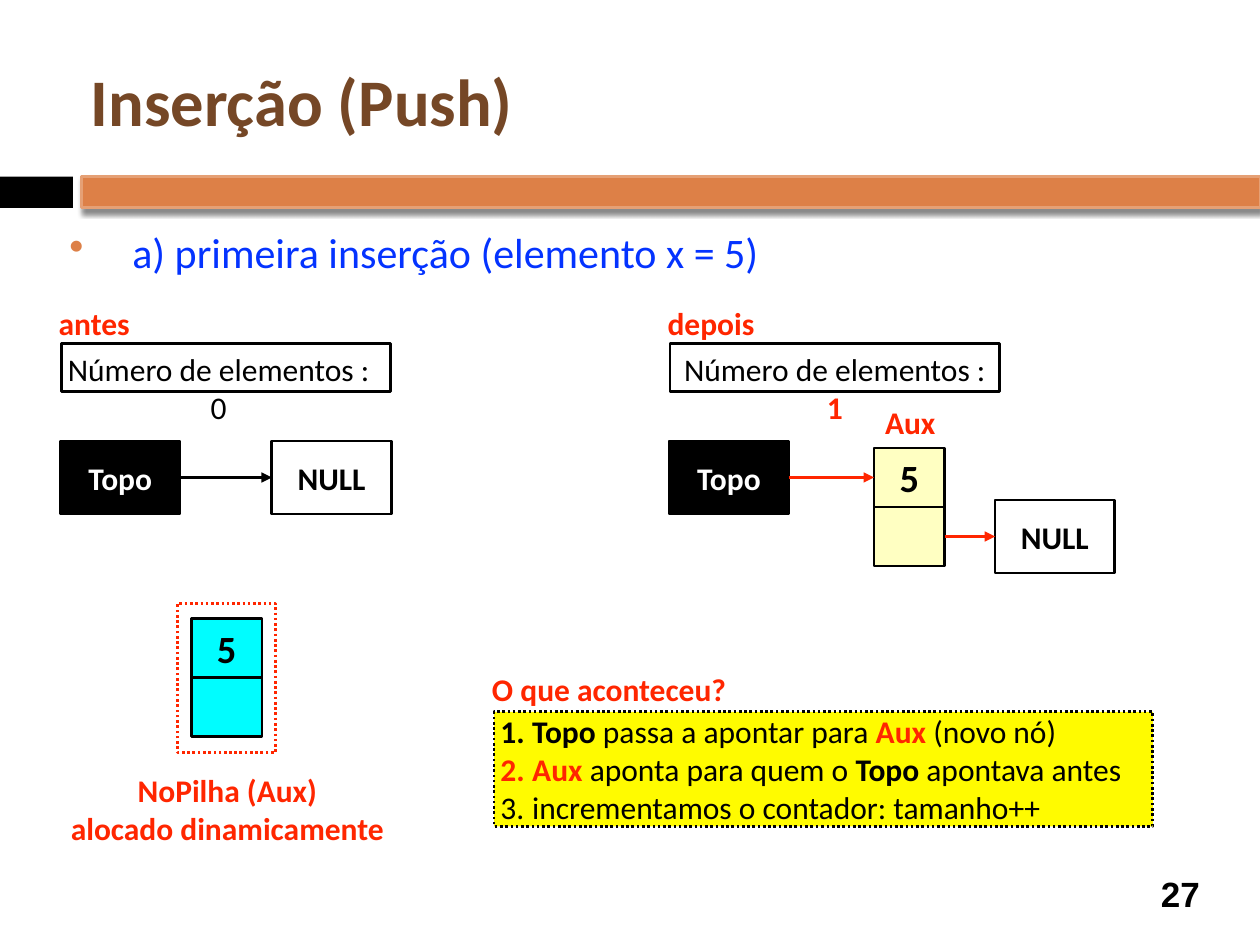
from dataclasses import dataclass

from lxml.etree import SubElement
from pptx import Presentation
from pptx.dml.color import RGBColor
from pptx.enum.dml import MSO_LINE_DASH_STYLE as Dash
from pptx.enum.shapes import MSO_CONNECTOR as Connector, MSO_SHAPE as Shape
from pptx.enum.text import MSO_ANCHOR as Anchor, PP_ALIGN as Align
from pptx.oxml.ns import qn
from pptx.util import Cm, Pt


@dataclass(frozen=True)
class Theme:
    black: str = "000000"
    white: str = "FFFFFF"
    red: str = "FF2600"
    blue: str = "0433FF"
    brown: str = "754726"
    orange: str = "DD8047"
    orange_edge: str = "E5A075"
    cyan: str = "00FDFF"
    cream: str = "FFFFC2"
    yellow: str = "FFFB00"
    font: str = "Calibri"
    page_font: str = "Arial"
    title: int = 38
    body: int = 24
    value: int = 22
    page: int = 20
    label: int = 18
    line: float = 1.5


T = Theme()
TOP, LEFT, RIGHT = 0, 1, 3  # connection sites in use
CELL_W, CELL_H = 1.42, 1.19
POINTER_W, POINTER_H = 2.41, 1.47


def rgb(color):
    return RGBColor.from_string(color)


def run(text, color=T.black, bold=False, size=T.label, font=T.font):
    return text, color, bold, size, font


def write(shape, paragraphs, align=Align.CENTER, anchor=Anchor.TOP, wrap=True):
    frame = shape.text_frame
    frame.word_wrap = wrap
    frame.vertical_anchor = anchor
    frame.margin_left = frame.margin_right = Cm(0.13)
    frame.margin_top = frame.margin_bottom = Cm(0.13)
    for i, runs in enumerate(paragraphs):
        para = frame.add_paragraph() if i else frame.paragraphs[0]
        para.alignment = align
        for text, color, bold, size, font in runs:
            piece = para.add_run()
            piece.text = text
            piece.font.name, piece.font.size = font, Pt(size)
            piece.font.bold, piece.font.color.rgb = bold, rgb(color)
    return frame


def add_text(slide, box, paragraphs, **layout):
    return write(slide.shapes.add_textbox(*map(Cm, box)), paragraphs, **layout)


def add_rect(slide, box, fill=None, edge=T.black, dash=None):
    rect = slide.shapes.add_shape(Shape.RECTANGLE, *map(Cm, box))
    rect.shadow.inherit = False
    if fill:
        rect.fill.solid()
        rect.fill.fore_color.rgb = rgb(fill)
    else:
        rect.fill.background()
    if edge:
        rect.line.color.rgb = rgb(edge)
        rect.line.width = Pt(T.line)
        if dash:
            rect.line.dash_style = dash
    else:
        rect.line.fill.background()
    return rect


def add_arrow(slide, start, end, color):
    arrow = slide.shapes.add_connector(Connector.STRAIGHT, 0, 0, 0, 0)
    arrow.begin_connect(start, RIGHT)
    arrow.end_connect(end, LEFT)
    arrow.line.color.rgb = rgb(color)
    arrow.line.width = Pt(T.line)
    SubElement(arrow.line._get_or_add_ln(), qn("a:tailEnd"), type="triangle")
    SubElement(arrow._element.spPr, qn("a:effectLst"))


def add_bullet(para, tag, indent, color=None, **attributes):
    props = para._p.get_or_add_pPr()
    props.set("marL", str(Cm(indent)))
    props.set("indent", str(-Cm(indent)))
    if color:
        SubElement(SubElement(props, qn("a:buClr")), qn("a:srgbClr"), val=color)
    SubElement(props, qn(tag), **attributes)


def add_pointer(slide, x, y, text, fill, color):
    rect = add_rect(slide, (x, y, POINTER_W, POINTER_H), fill)
    write(rect, [[run(text, color, True)]], anchor=Anchor.MIDDLE)
    return rect


def add_node(slide, x, y, fill):
    """Stack node: a value cell above a link cell."""
    link = add_rect(slide, (x, y + CELL_H, CELL_W, CELL_H), fill)
    value = add_rect(slide, (x, y, CELL_W, CELL_H), fill)
    write(value, [[run("5", bold=True, size=T.value)]], anchor=Anchor.MIDDLE)
    return value, link


def add_header(slide, x, y, width):
    # Title
    add_text(slide, (x + 1.7, y + 0.64, 22.66, 2.74),
             [[run("Inserção (Push)", T.brown, True, T.title)]],
             align=Align.LEFT, anchor=Anchor.MIDDLE)
    # Divider band
    add_rect(slide, (x, y + 3.56, 1.47, 0.63), T.black, edge=None)
    band = add_rect(slide, (x + 1.65, y + 3.56, width - 1.65, 0.63),
                    T.orange, T.orange_edge)
    shadow = SubElement(band._element.spPr.find(qn("a:effectLst")), qn("a:outerShdw"),
                        blurRad=str(Pt(3)), dist=str(Pt(2.4)), dir="5400000",
                        rotWithShape="0")
    tint = SubElement(shadow, qn("a:srgbClr"), val=T.black)
    SubElement(tint, qn("a:alpha"), val="45000")
    # Topic
    topic = add_text(slide, (x + 1.27, y + 4.44, 22.86, 1.4),
                     [[run("a) primeira inserção (elemento x = 5)", T.blue, size=T.body)]],
                     align=Align.LEFT)
    add_bullet(topic.paragraphs[0], "a:buChar", 1.27, T.orange, char="•")


def add_state(slide, x, y, heading, heading_w, count):
    """Heading, element counter and top pointer shared by both states."""
    add_text(slide, (x - 0.19, y, heading_w, 0.91),
             [[run(heading, T.red, True)]], wrap=False)
    counter = add_rect(slide, (x, y + 0.94, 6.64, 0.97))
    frame = write(counter, [[run("Número de elementos : "), count]])
    return add_pointer(slide, x - 0.02, y + 2.9, "Topo", T.black, T.white), frame


def add_before(slide, x, y):
    top, counter = add_state(slide, x, y, "antes", 1.7, run("0"))
    counter.margin_left, counter.margin_right = Cm(0.1), Cm(0.4)
    null = add_pointer(slide, x + 4.24, y + 2.9, "NULL", T.white, T.black)
    add_arrow(slide, top, null, T.black)


def add_after(slide, x, y):
    top, _ = add_state(slide, x, y, "depois", 2.03, run("1", T.red, True))
    value, link = add_node(slide, x + 4.11, y + 3.04, T.cream)
    null = add_pointer(slide, x + 6.55, y + 4.09, "NULL", T.white, T.black)
    add_arrow(slide, top, value, T.red)
    add_arrow(slide, link, null, T.red)
    add_text(slide, (x + 4.14, y + 2.01, 1.4, 0.91),
             [[run("Aux", T.red, True)]], wrap=False)


def add_new_node(slide, x, y):
    add_node(slide, x + 0.28, y + 0.3, T.cyan)
    add_rect(slide, (x, y, 1.98, 3), edge=T.red, dash=Dash.ROUND_DOT)
    add_text(slide, (x - 2.54, y + 3.25, 7.09, 1.6),
             [[run(text, T.red, True)] for text in ("NoPilha (Aux)", "alocado dinamicamente")])


def add_explanation(slide, x, y):
    add_text(slide, (x - 0.18, y - 0.97, 5, 0.91),
             [[run("O que aconteceu?", T.red, True)]], wrap=False)
    top, aux = run("Topo", bold=True), run("Aux", T.red, True)
    steps = [
        [top, run(" passa a apontar para "), aux, run(" (novo nó)")],
        [aux, run(" aponta para quem o "), top, run(" apontava antes")],
        [run("incrementamos o contador: tamanho++")],
    ]
    panel = add_rect(slide, (x, y, 13.28, 2.31), T.yellow, dash=Dash.ROUND_DOT)
    frame = write(panel, steps, align=Align.LEFT, anchor=Anchor.MIDDLE)
    for para in frame.paragraphs:
        add_bullet(para, "a:buAutoNum", 0.64, type="arabicPeriod")


def add_page_number(slide, x, y):
    add_text(slide, (x, y, 1.47, 1.04),
             [[run("27", bold=True, size=T.page, font=T.page_font)]], anchor=Anchor.MIDDLE)


def main():
    deck = Presentation()
    deck.slide_width, deck.slide_height = Cm(25.4), Cm(19.05)
    slide = deck.slides.add_slide(deck.slide_layouts[6])
    add_header(slide, 0, 0, 25.4)
    add_before(slide, 1.24, 5.99)
    add_after(slide, 13.51, 5.99)
    add_new_node(slide, 3.58, 12.17)
    add_explanation(slide, 9.96, 14.35)
    add_page_number(slide, 23.06, 17.5)
    deck.save("out.pptx")


if __name__ == "__main__":
    main()
